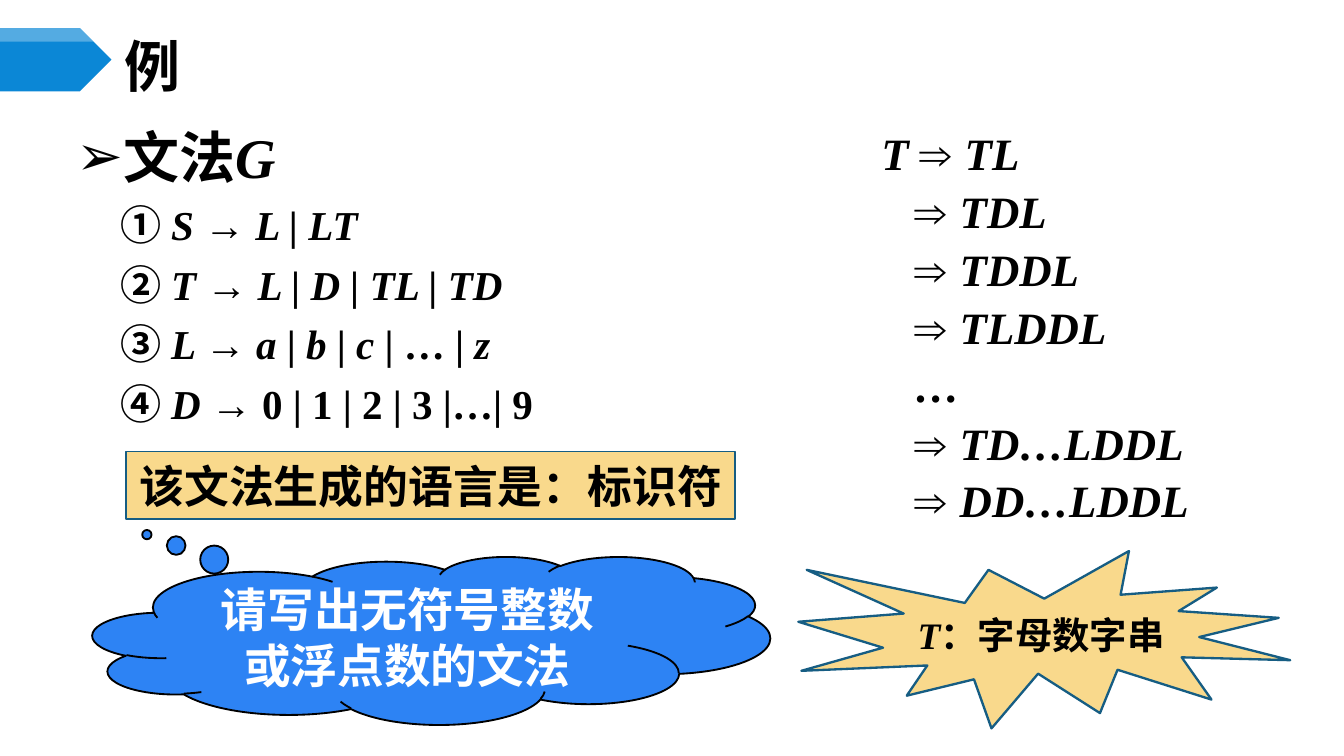
import pptx
import pptx.util
import pptx.dml.color
import pptx.enum.shapes
import pptx.enum.text
import pptx.oxml.ns
import lxml.etree

Inches = pptx.util.Inches
Pt = pptx.util.Pt
RGBColor = pptx.dml.color.RGBColor
SHAPE = pptx.enum.shapes.MSO_SHAPE
ALIGN = pptx.enum.text.PP_ALIGN
ANCHOR = pptx.enum.text.MSO_ANCHOR
qn = pptx.oxml.ns.qn

BLACK = RGBColor(0x00, 0x00, 0x00)
WHITE = RGBColor(0xFF, 0xFF, 0xFF)
BANNER_BLUE = RGBColor(0x0B, 0x87, 0xD6)
CLOUD_BLUE = RGBColor(0x2D, 0x83, 0xF4)
SAND = RGBColor(0xF9, 0xD9, 0x8C)
EDGE = RGBColor(0x16, 0x5D, 0x83)

CJK = "Noto Sans CJK SC"
SERIF = "Times New Roman"
SANS = "Arial"

# Each rule is a list of (text, italic)
RULES = [
    [("S → L | LT", True)],
    [("T → L | D | TL | TD", True)],
    [("L → a", True), (" | ", False), ("b ", True), ("| ", False),
     ("c", True), (" | … | ", False), ("z", True)],
    [("D → ", True), ("0 | 1 | 2 | 3 |…| 9", False)],
]
DERIVATION = ["TL", "TDL", "TDDL", "TLDDL", "…", "TD…LDDL", "DD…LDDL"]


def add_run(paragraph, text, size, font=CJK, italic=False, color=BLACK):
    run = paragraph.add_run()
    run.text = text
    run.font.size = Pt(size)
    run.font.name = font
    run.font.bold = True
    run.font.italic = italic
    run.font.color.rgb = color
    east_asian = lxml.etree.SubElement(run.font._element, qn("a:ea"))
    east_asian.set("typeface", CJK)


def set_indent(paragraph, left, first=0.0, bullet=None):
    properties = paragraph._p.get_or_add_pPr()
    properties.set("marL", str(Inches(left)))
    properties.set("indent", str(Inches(first)))
    if bullet:
        lxml.etree.SubElement(properties, qn("a:buFont")).set("typeface", SANS)
        lxml.etree.SubElement(properties, qn("a:buChar")).set("char", bullet)


def next_paragraph(frame, index):
    return frame.add_paragraph() if index else frame.paragraphs[0]


def add_panel(slide, kind, box, fill, edge, width):
    """Add a filled preset shape and return it with its first paragraph."""
    panel = slide.shapes.add_shape(kind, *map(Inches, box))
    panel.shadow.inherit = False
    panel.fill.solid()
    panel.fill.fore_color.rgb = fill
    panel.line.color.rgb = edge
    panel.line.width = Pt(width)
    panel.text_frame.word_wrap = True
    panel.text_frame.vertical_anchor = ANCHOR.MIDDLE
    paragraph = panel.text_frame.paragraphs[0]
    paragraph.alignment = ALIGN.CENTER
    return panel, paragraph


def add_pointer(slide, box, corners, color):
    """Add a borderless outline that starts at the top left of its box."""
    left, top = box[:2]
    builder = slide.shapes.build_freeform(Inches(left), Inches(top), scale=1.0)
    builder.add_line_segments([(Inches(x), Inches(y)) for x, y in corners])
    pointer = builder.convert_to_shape()
    pointer.shadow.inherit = False
    pointer.fill.solid()
    pointer.fill.fore_color.rgb = color
    pointer.line.fill.background()
    return pointer


def add_banner(slide, box):
    left, top, width, height = box
    tip, bottom = left + width, top + height
    shoulder = tip - height / 2
    add_pointer(slide, box, [(shoulder, top), (tip, top + height / 2),
                             (shoulder, bottom), (left, bottom)], BANNER_BLUE)
    # Translucent highlight along the top, cut to the same slope
    strip = 0.1
    highlight = add_pointer(
        slide, box, [(shoulder, top), (shoulder + strip, top + strip),
                     (left, top + strip)], WHITE)
    color = highlight.fill._xPr.find(qn("a:solidFill"))[0]
    lxml.etree.SubElement(color, qn("a:alpha")).set("val", "30000")


def add_title(slide, box):
    title = slide.shapes.title
    title.left, title.top, title.width, title.height = map(Inches, box)
    title.text_frame.vertical_anchor = ANCHOR.MIDDLE
    paragraph = title.text_frame.paragraphs[0]
    paragraph.alignment = ALIGN.LEFT
    add_run(paragraph, "例", 30)


def add_grammar(slide, box):
    frame = slide.shapes.add_textbox(*map(Inches, box)).text_frame
    frame.word_wrap = True
    name = frame.paragraphs[0]
    name.space_before = Pt(7.5)
    set_indent(name, 0.3, -0.3, "➢")
    add_run(name, "文法", 30, SERIF)
    add_run(name, "G", 30, SERIF, True)
    # Numbered productions
    for number, rule in zip("①②③④", RULES):
        production = frame.add_paragraph()
        production.level = 1
        production.space_before = Pt(5.5)
        set_indent(production, 0.33)
        add_run(production, number + " ", 22)
        for text, italic in rule:
            add_run(production, text, 22, SERIF, italic)


def add_derivation(slide, box):
    frame = slide.shapes.add_textbox(*map(Inches, box)).text_frame
    frame.word_wrap = False
    for index, form in enumerate(DERIVATION):
        step = next_paragraph(frame, index)
        step.line_spacing = Pt(25)
        step.space_before = Pt(6)
        if index == 0:
            add_run(step, "T ", 24, SERIF, True)
        else:
            set_indent(step, 0.25)
        if form != "…":
            add_run(step, "⇒ ", 24, SANS)
        add_run(step, form, 24, SERIF, True)


def add_language(slide, box):
    panel, paragraph = add_panel(slide, SHAPE.RECTANGLE, box, SAND, EDGE, 1)
    panel.text_frame.word_wrap = False
    paragraph.alignment = ALIGN.LEFT
    add_run(paragraph, "该文法生成的语言是：标识符", 24)


def add_exercise(slide, box):
    cloud, paragraph = add_panel(slide, SHAPE.CLOUD_CALLOUT, box,
                                 CLOUD_BLUE, BLACK, 1)
    cloud.adjustments[0] = -0.42
    cloud.adjustments[1] = -0.63
    add_run(paragraph, "请写出无符号整数或浮点数的文法", 25, color=WHITE)


def add_meaning(slide, box):
    _, paragraph = add_panel(slide, SHAPE.EXPLOSION1, box, SAND, EDGE, 1.25)
    add_run(paragraph, "T", 20, SERIF, True)
    add_run(paragraph, "：字母数字串", 20)


def main():
    deck = pptx.Presentation()
    deck.slide_width = Inches(10)
    deck.slide_height = deck.slide_width * 9 // 16
    slide = deck.slides.add_slide(deck.slide_layouts[5])
    add_grammar(slide, (0.47, 0.86, 6.48, 2.44))
    add_title(slide, (0.83, 0.29, 8.67, 0.39))
    add_exercise(slide, (0.69, 4.14, 5.04, 1.25))
    add_banner(slide, (0, 0.21, 0.83, 0.47))
    add_derivation(slide, (6.46, 0.94, 2.5, 3.03))
    add_meaning(slide, (5.94, 4.1, 3.66, 1.32))
    add_language(slide, (0.94, 3.36, 4.53, 0.5))
    deck.save("out.pptx")


if __name__ == "__main__":
    main()
